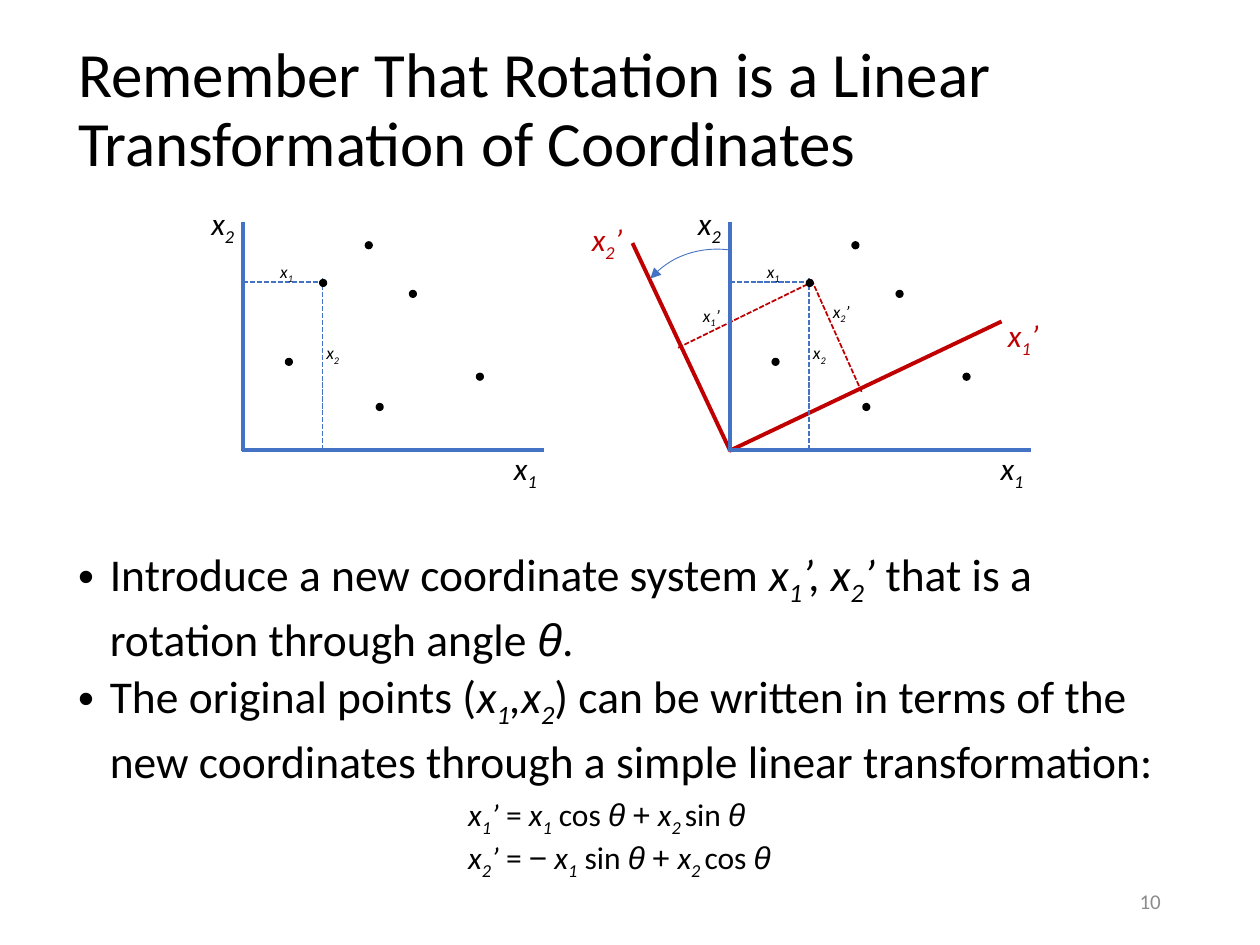
import itertools

import pptx
import pptx.dml.color
import pptx.enum.dml
import pptx.enum.shapes
import pptx.enum.text
import pptx.oxml
import pptx.oxml.ns
import pptx.util
from pptx.util import Cm, Pt

BLACK = pptx.dml.color.RGBColor(0x00, 0x00, 0x00)
WHITE = pptx.dml.color.RGBColor(0xFF, 0xFF, 0xFF)
GRAY = pptx.dml.color.RGBColor(0x8C, 0x8C, 0x8C)
BLUE = pptx.dml.color.RGBColor(0x44, 0x72, 0xC4)
RED = pptx.dml.color.RGBColor(0xC0, 0x00, 0x00)
SHAPES = pptx.enum.shapes.MSO_SHAPE

presentation = pptx.Presentation()
presentation.slide_width, presentation.slide_height = Cm(25.4), Cm(19.05)
slide = presentation.slides.add_slide(presentation.slide_layouts[1])
shapes = slide.shapes


def write_math(frame, markups, size, color=BLACK):
    """Write one paragraph per markup: / toggles italic, ~ toggles subscript."""
    for index, markup in enumerate(markups):
        paragraph = frame.add_paragraph() if index else frame.paragraphs[0]
        paragraph.font.size, paragraph.font.color.rgb = Pt(size), color
        italic = subscript = False
        letters = []
        for letter in markup:
            if letter == "/":
                italic = not italic
            elif letter == "~":
                subscript = not subscript
            else:
                font = "Arial" if letter in "θ+−" else "Calibri"
                letters.append((letter, (font, italic, subscript)))
        for style, group in itertools.groupby(letters, key=lambda item: item[1]):
            run = paragraph.add_run()
            run.text = "".join(letter for letter, _ in group)
            run.font.name, run.font.italic = style[0], style[1]
            if style[2]:
                run.font._element.set("baseline", "-25000")


def add_line(start, end, color, dashed=False):
    line = shapes.add_connector(
        pptx.enum.shapes.MSO_CONNECTOR.STRAIGHT, *map(Cm, start + end))
    line.line.color.rgb = color
    line.line.width = Pt(1 if dashed else 2.25)
    if dashed:
        line.line.dash_style = pptx.enum.dml.MSO_LINE.SQUARE_DOT
    line._element.spPr.append(pptx.oxml.parse_xml(
        "<a:effectLst %s/>" % pptx.oxml.ns.nsdecls("a")))


# Title
title = shapes.title
title.left, title.top, title.width, title.height = map(Cm, (1.32, 0.41, 24.08, 3.68))
title.text_frame.text = "Remember That Rotation is a Linear Transformation of Coordinates"
title.text_frame.auto_size = pptx.enum.text.MSO_AUTO_SIZE.NONE
title.text_frame.vertical_anchor = pptx.enum.text.MSO_ANCHOR.MIDDLE
heading = title.text_frame.paragraphs[0]
heading.alignment = pptx.enum.text.PP_ALIGN.LEFT
heading.line_spacing = 0.9
heading.font.name, heading.font.size = "Calibri", Pt(36)
heading.font.color.rgb = BLACK

# Bullet list
body = slide.placeholders[1]
body.left, body.top, body.width, body.height = map(Cm, (1.32, 10.97, 22.63, 4.88))
body.text_frame.auto_size = pptx.enum.text.MSO_AUTO_SIZE.NONE
write_math(body.text_frame, [
    "Introduce a new coordinate system /x~1~’, x~2~’ /that is a rotation "
    "through angle /θ/.",
    "The original points (/x~1~,x~2~/) can be written in terms of the new "
    "coordinates through a simple linear transformation:",
], 26)
for paragraph in body.text_frame.paragraphs:
    paragraph.line_spacing = Pt(33)
    paragraph.space_before, paragraph.space_after = Pt(3.4), Pt(0)
    properties = paragraph._p.get_or_add_pPr()
    properties.set("marL", str(Cm(0.64)))
    properties.set("indent", str(-Cm(0.64)))

# Rotated axes
add_line((12.75, 4.9), (14.72, 9.09), RED)
add_line((14.7, 9.09), (20.19, 6.48), RED)

# Rotation arrow, with a cover over its right-hand part
arc = shapes.add_shape(SHAPES.ARC, *map(Cm, (12.78, 4.93, 3.73, 4.11)))
arc.adjustments[0], arc.adjustments[1] = 160.178, 0
arc.rotation = 314.8
arc.shadow.inherit = False
arc.fill.background()
arc.line.color.rgb, arc.line.width = BLUE, Pt(0.5)
arc.line._get_or_add_ln().append(pptx.oxml.parse_xml(
    '<a:headEnd type="triangle" %s/>' % pptx.oxml.ns.nsdecls("a")))
cover = shapes.add_shape(SHAPES.RECTANGLE, *map(Cm, (14.76, 4.93, 1.78, 0.81)))
cover.shadow.inherit = False
cover.fill.solid()
cover.fill.fore_color.rgb = WHITE
cover.line.fill.background()

# Rotated coordinates of the marked point
add_line((16.36, 5.64), (17.37, 7.9), RED, dashed=True)
add_line((13.67, 7.01), (16.36, 5.69), RED, dashed=True)

# Both plots: axes, projections and points
labels = [
    ("/x~2~’", 11.68, 4.32, 1.17, 1.02, 18, RED),
    ("/x~1~’", 20.07, 6.25, 1.17, 1.02, 18, RED),
    ("/x~1~’", 13.92, 6.02, 0.89, 0.69, 10, BLACK),
    ("/x~2~’", 16.54, 5.94, 0.89, 0.69, 10, BLACK),
]
points = [(0.86, 7.23), (3.36, 5.86), (4.71, 7.53), (2.69, 8.14),
          (2.47, 4.88), (1.55, 5.64)]
for origin in (4.9, 14.71):
    add_line((origin, 4.47), (origin, 9.09), BLUE)
    add_line((origin - 0.02, 9.08), (origin + 6.07, 9.08), BLUE)
    add_line((origin + 1.6, 5.61), (origin + 1.6, 9.09), BLUE, dashed=True)
    add_line((origin, 5.69), (origin + 1.68, 5.69), BLUE, dashed=True)
    for x, y in points:
        dot = shapes.add_shape(SHAPES.OVAL, Cm(origin + x), Cm(y), Cm(0.13), Cm(0.13))
        dot.shadow.inherit = False
        dot.fill.solid()
        dot.fill.fore_color.rgb = BLACK
        dot.line.color.rgb, dot.line.width = BLACK, Pt(1)
    labels += [
        ("/x~2~", origin - 0.89, 3.99, 1.02, 1.02, 18, BLACK),
        ("/x~1~", origin + 5.21, 8.92, 1.02, 1.02, 18, BLACK),
        ("/x~1~", origin + 0.5, 5.13, 0.79, 0.69, 10, BLACK),
        ("/x~2~", origin + 1.43, 6.78, 0.79, 0.69, 10, BLACK),
    ]

# Axis labels and equations
equations = ("/x~1~’ /= /x~1~/ cos /θ/ + /x~2 ~/sin /θ\n"
             "/x~2~’ /= − /x~1~/ sin /θ/ + /x~2 ~/cos /θ")
labels.append((equations, 9.19, 15.9, 6.86, 1.8, 18, BLACK))
for markup, left, top, width, height, size, color in labels:
    label = shapes.add_textbox(Cm(left), Cm(top), Cm(width), Cm(height))
    label.text_frame.word_wrap = False
    write_math(label.text_frame, markup.split("\n"), size, color)

# Slide number
number = shapes.add_textbox(Cm(17.93), Cm(17.65), Cm(5.72), Cm(1.02))
number.text_frame.word_wrap = True
number.text_frame.vertical_anchor = pptx.enum.text.MSO_ANCHOR.MIDDLE
paragraph = number.text_frame.paragraphs[0]
paragraph.text = "10"
paragraph.alignment = pptx.enum.text.PP_ALIGN.RIGHT
paragraph.font.name, paragraph.font.size = "Calibri", Pt(12)
paragraph.font.color.rgb = GRAY

presentation.save("out.pptx")
